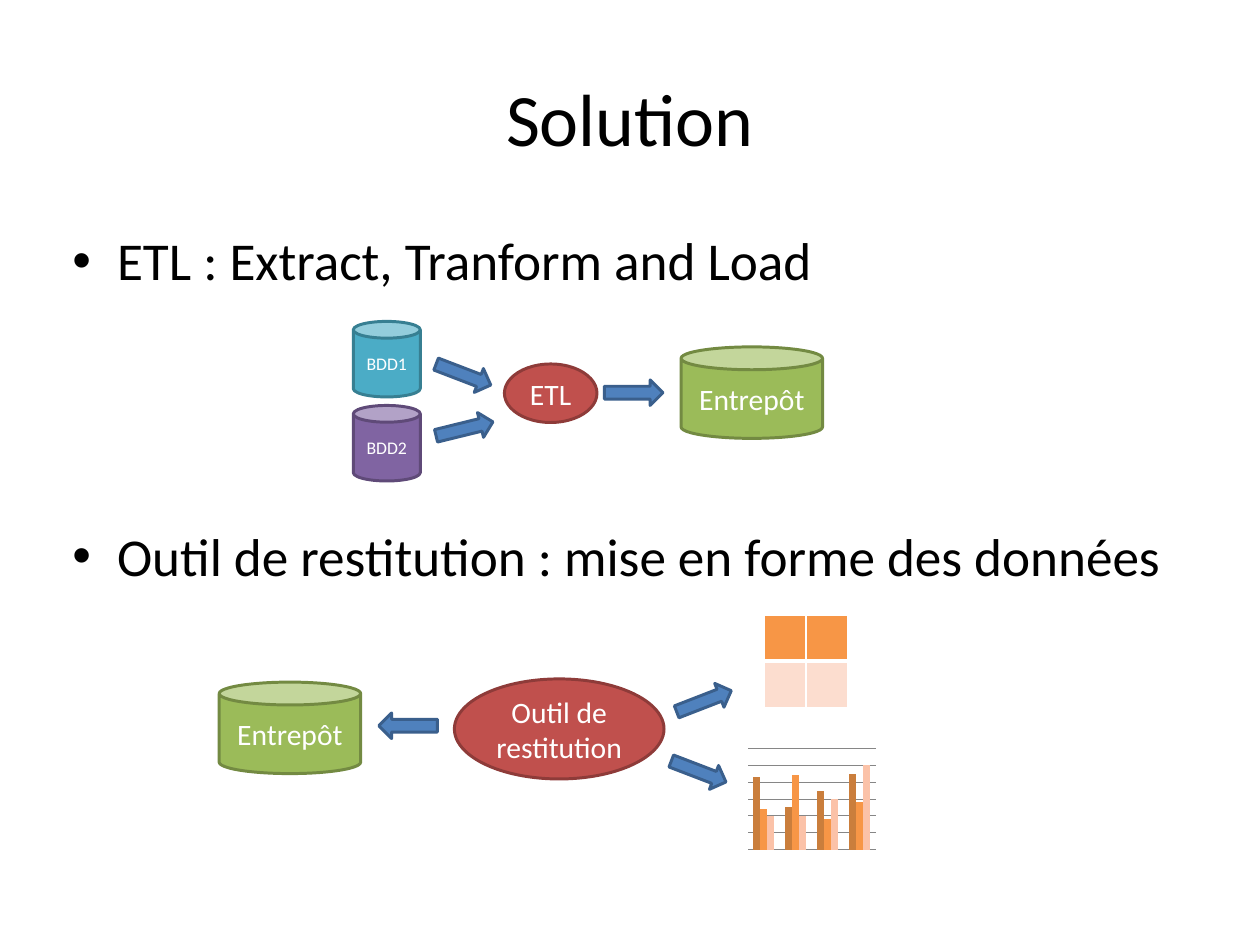
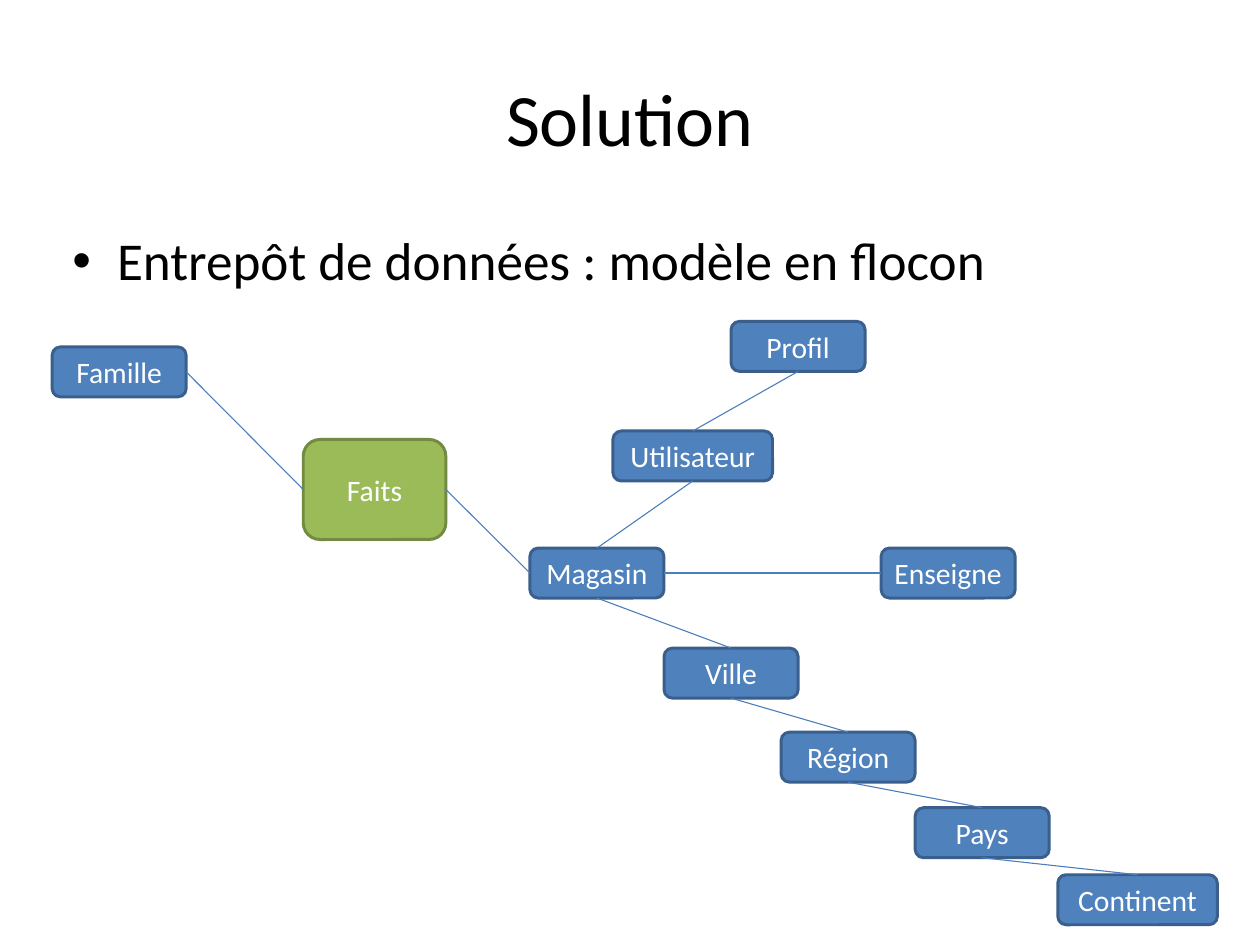
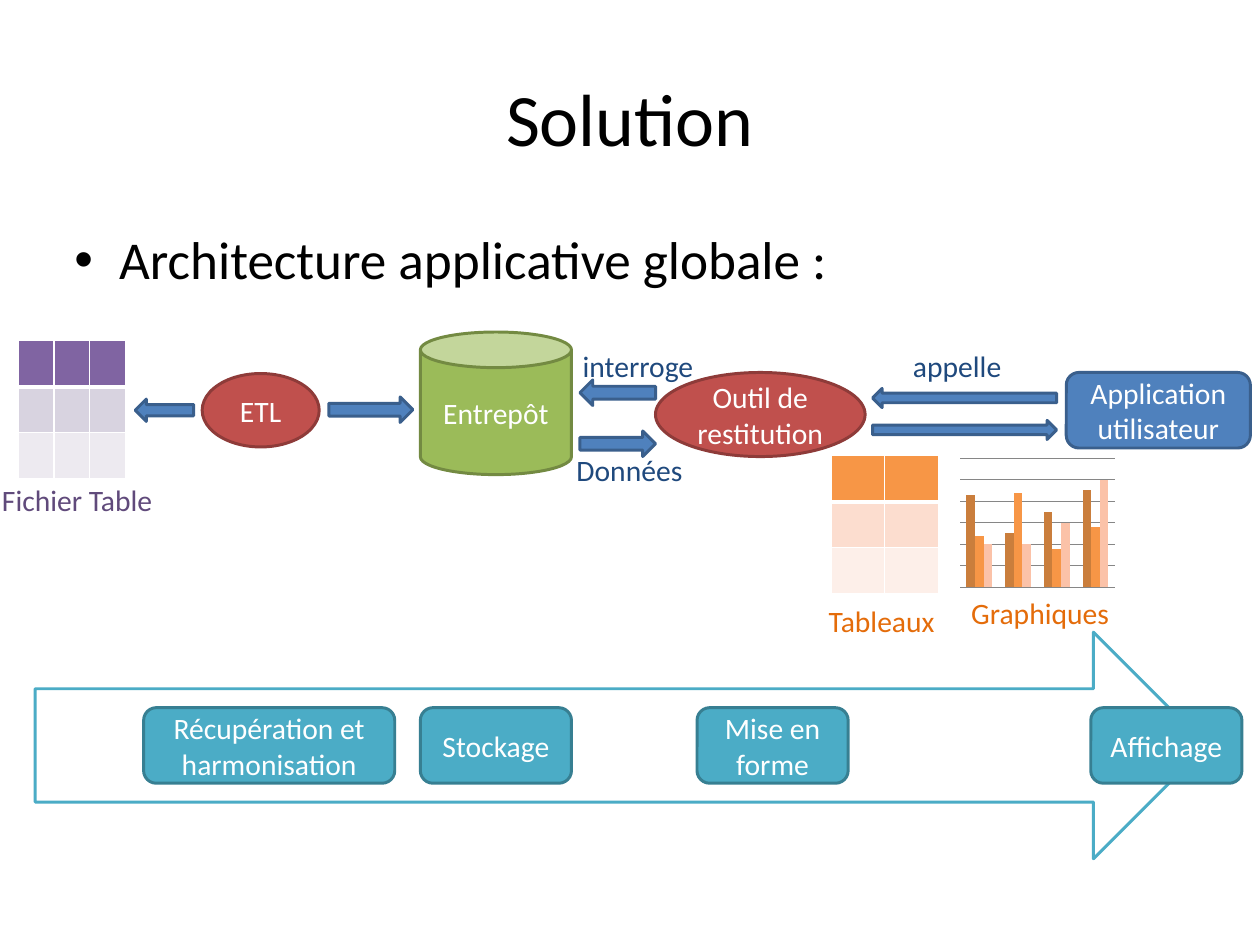
from dataclasses import dataclass
from typing import Optional

from lxml.etree import SubElement
from pptx import Presentation
from pptx.chart.data import CategoryChartData
from pptx.dml.color import RGBColor
from pptx.enum.chart import XL_CHART_TYPE
from pptx.enum.shapes import MSO_CONNECTOR, MSO_SHAPE
from pptx.enum.text import MSO_ANCHOR, PP_ALIGN
from pptx.oxml import parse_xml
from pptx.oxml.ns import nsdecls, qn
from pptx.util import Inches, Pt

# Shared colours and font
FONT = "Calibri"
BLACK = RGBColor(0x00, 0x00, 0x00)
WHITE = RGBColor(0xFF, 0xFF, 0xFF)
NAVY = RGBColor(0x1F, 0x49, 0x7D)
DARK_PURPLE = RGBColor(0x60, 0x4A, 0x7B)
DARK_ORANGE = RGBColor(0xE4, 0x6C, 0x0A)
LINK = RGBColor(0x4B, 0x7E, 0xBC)
GRID = RGBColor(0x86, 0x86, 0x86)
ORANGES = [RGBColor(0xF7, 0x96, 0x46), RGBColor(0xFC, 0xDD, 0xCF), RGBColor(0xFD, 0xEF, 0xE9)]
PURPLES = [RGBColor(0x80, 0x64, 0xA2), RGBColor(0xD8, 0xD3, 0xE0), RGBColor(0xED, 0xEA, 0xF0)]
BAR_COLORS = [RGBColor(0xCA, 0x7E, 0x3C), ORANGES[0], RGBColor(0xFB, 0xC2, 0xA8)]
SERIES = {
    "Series 1": (86, 50, 70, 90),
    "Series 2": (48, 88, 36, 56),
    "Series 3": (40, 40, 60, 100),
}

Box = tuple[float, float, float, float]


@dataclass(frozen=True)
class Style:
    fill: RGBColor
    line: RGBColor


BLUE = Style(RGBColor(0x4F, 0x81, 0xBD), RGBColor(0x3A, 0x5F, 0x8C))
RED = Style(RGBColor(0xC0, 0x50, 0x4D), RGBColor(0x8E, 0x3B, 0x39))
GREEN = Style(RGBColor(0x9B, 0xBB, 0x59), RGBColor(0x73, 0x8A, 0x42))
PURPLE = Style(PURPLES[0], RGBColor(0x5F, 0x4A, 0x78))
TEAL = Style(RGBColor(0x4B, 0xAC, 0xC6), RGBColor(0x37, 0x7F, 0x92))
OUTLINE = Style(WHITE, TEAL.fill)

CAN, OVAL, ROUND = MSO_SHAPE.CAN, MSO_SHAPE.OVAL, MSO_SHAPE.ROUNDED_RECTANGLE
RIGHT, LEFT = MSO_SHAPE.RIGHT_ARROW, MSO_SHAPE.LEFT_ARROW


@dataclass(frozen=True)
class Node:
    kind: MSO_SHAPE
    box: Box
    style: Style = BLUE
    text: str = ""
    size: int = 20
    rot: float = 0


@dataclass(frozen=True)
class Label:
    text: str
    box: Box
    color: RGBColor


@dataclass(frozen=True)
class Link:
    start: str
    start_site: int
    end: str
    end_site: int


# Connection sites of a rounded rectangle
TOP_SITE, LEFT_SITE, BOTTOM_SITE, RIGHT_SITE = range(4)


def inches(box: Box) -> list:
    return [Inches(v) for v in box]


def set_text(p, text: str, size: float, color: RGBColor) -> None:
    r = p.add_run()
    r.text = text
    for name, value in {"name": FONT, "size": Pt(size)}.items():
        setattr(r.font, name, value)
    r.font.color.rgb = color


def add_text_frame(s, box: Box, inset_x: float, inset_y: float):
    tf = s.shapes.add_textbox(*inches(box)).text_frame
    fmt = {
        "word_wrap": True,
        "margin_left": Inches(inset_x), "margin_right": Inches(inset_x),
        "margin_top": Inches(inset_y), "margin_bottom": Inches(inset_y),
    }
    for name, value in fmt.items():
        setattr(tf, name, value)
    return tf


def add_slide(prs, bullets: list[str], left: float = 0.57, top: float = 2.08):
    """Slide with the common title and its bullets."""
    s = prs.slides.add_slide(prs.slide_layouts[6])
    tf = add_text_frame(s, (0.59, 0.36, 10.66, 1.48), 0.11, 0.06)
    tf.vertical_anchor = MSO_ANCHOR.MIDDLE
    tf.paragraphs[0].alignment = PP_ALIGN.CENTER
    set_text(tf.paragraphs[0], "Solution", 50, BLACK)

    tf = add_text_frame(s, (left, top, 10.66, 5.86), 0.11, 0.06)
    for i, text in enumerate(bullets):
        p = tf.add_paragraph() if i else tf.paragraphs[0]
        p.space_before = Pt(157 if i else 0)
        pPr = p._p.get_or_add_pPr()
        pPr.set("marL", str(Inches(0.42)))
        pPr.set("indent", str(-Inches(0.42)))
        SubElement(pPr, qn("a:buFont")).set("typeface", "Arial")
        SubElement(pPr, qn("a:buChar")).set("char", "•")
        set_text(p, text, 36, BLACK)
    return s


def add_node(s, node: Node):
    sp = s.shapes.add_shape(node.kind, *inches(node.box))
    sp.shadow.inherit = False
    sp.rotation = node.rot
    sp.fill.solid()
    sp.fill.fore_color.rgb = node.style.fill
    sp.line.color.rgb = node.style.line
    sp.line.width = Pt(2)
    if node.text:
        p = sp.text_frame.paragraphs[0]
        p.alignment = PP_ALIGN.CENTER
        set_text(p, node.text, node.size, WHITE)
    return sp


def add_label(s, label: Label) -> None:
    p = add_text_frame(s, label.box, 0, 0.05).paragraphs[0]
    p.alignment = PP_ALIGN.CENTER
    set_text(p, label.text, 20, label.color)


def add_link(s, nodes: dict, link: Link) -> None:
    cn = s.shapes.add_connector(MSO_CONNECTOR.STRAIGHT, 0, 0, 0, 0)
    cn.begin_connect(nodes[link.start], link.start_site)
    cn.end_connect(nodes[link.end], link.end_site)
    cn.line.color.rgb = LINK
    cn.line.width = Pt(0.75)
    SubElement(cn._element.spPr, qn("a:effectLst"))


def add_grid(s, box: Box, cols: int, row_colors: list[RGBColor]) -> None:
    """Empty table with one colour per row and white rules."""
    rows = len(row_colors)
    table = s.shapes.add_table(rows, cols, *inches(box)).table
    for col in table.columns:
        col.width = Inches(box[2] / cols)
    for i, color in enumerate(row_colors):
        table.rows[i].height = Inches(box[3] / rows)
        for cell in table.rows[i].cells:
            tcPr = cell._tc.get_or_add_tcPr()
            for side in "LRTB":
                thick = (i == 0 and side == "B") or (i == 1 and side == "T")
                tcPr.append(parse_xml(
                    f'<a:ln{side} {nsdecls("a")} w="{Pt(3 if thick else 1)}">'
                    f'<a:solidFill><a:srgbClr val="{WHITE}"/></a:solidFill></a:ln{side}>'))
            cell.fill.solid()
            cell.fill.fore_color.rgb = color


def add_bars(s, box: Box, plot: Box) -> None:
    """Clustered columns without axes; plot is the inner area as fractions."""
    data = CategoryChartData()
    data.categories = ["1", "2", "3", "4"]
    for name, values in SERIES.items():
        data.add_series(name, values)
    chart = s.shapes.add_chart(XL_CHART_TYPE.COLUMN_CLUSTERED, *inches(box), data).chart
    chart.has_legend = chart.has_title = False
    chart.font.name, chart.font.size = FONT, Pt(18)
    chart.font.color.rgb = BLACK
    bars = chart.plots[0]
    for name, value in {"gap_width": 150, "overlap": 0, "vary_by_categories": False}.items():
        setattr(bars, name, value)
    for series, color in zip(bars.series, BAR_COLORS):
        series.format.fill.solid()
        series.format.fill.fore_color.rgb = color
    axis = chart.value_axis
    scale = {"minimum_scale": 0, "maximum_scale": 120, "major_unit": 20,
             "has_major_gridlines": True, "visible": False}
    for name, value in scale.items():
        setattr(axis, name, value)
    axis.major_gridlines.format.line.color.rgb = GRID
    axis.major_gridlines.format.line.width = Pt(0.75)
    chart.category_axis.visible = False

    # Fixed inner plot area
    area = chart._chartSpace.find(".//" + qn("c:plotArea"))
    for old in area.findall(qn("c:layout")):
        area.remove(old)
    sizes = "".join(f'<c:{k} val="{v}"/>' for k, v in zip("xywh", plot))
    area.insert(0, parse_xml(
        f'<c:layout {nsdecls("c")}><c:manualLayout><c:layoutTarget val="inner"/>'
        f'<c:xMode val="edge"/><c:yMode val="edge"/>{sizes}</c:manualLayout></c:layout>'))


def arrow(left: float, top: float, width: float = 0.55, height: float = 0.24,
          kind: MSO_SHAPE = RIGHT, rot: float = 0, style: Optional[Style] = None) -> Node:
    return Node(kind, (left, top, width, height), style or BLUE, rot=rot)


def build_tools(prs) -> None:
    s = add_slide(prs, ["ETL : Extract, Tranform and Load",
                        "Outil de restitution : mise en forme des données"])
    nodes = [
        # Loading the warehouse
        Node(CAN, (3.32, 3.02, 0.63, 0.71), TEAL, "BDD1", 12),
        Node(CAN, (3.32, 3.81, 0.63, 0.71), PURPLE, "BDD2", 12),
        arrow(4.08, 3.4, rot=21),
        arrow(4.09, 3.91, rot=346.2),
        Node(OVAL, (4.74, 3.42, 0.87, 0.55), RED, "ETL"),
        arrow(5.68, 3.57),
        Node(CAN, (6.4, 3.26, 1.33, 0.86), GREEN, "Entrepôt"),
        # Reporting from the warehouse
        Node(CAN, (2.06, 6.41, 1.33, 0.86), GREEN, "Entrepôt"),
        arrow(3.56, 6.7, kind=LEFT),
        Node(OVAL, (4.27, 6.38, 1.97, 0.94), RED, "Outil de restitution"),
        arrow(6.34, 6.47, rot=338.8),
        arrow(6.29, 7.13, rot=21),
    ]
    for node in nodes:
        add_node(s, node)
    add_grid(s, (7.18, 5.78, 0.79, 0.87), 2, ORANGES[:2])
    add_bars(s, (6.79, 6.88, 1.51, 1.26), (0.156, 0.121, 0.798, 0.757))


def build_snowflake(prs) -> None:
    s = add_slide(prs, ["Entrepôt de données : modèle en flocon"])
    nodes = {"Faits": add_node(s, Node(ROUND, (2.85, 4.13, 1.34, 0.94), GREEN, "Faits"))}
    dimensions = [
        ("Famille", 0.49, 3.26, 1.26), ("Magasin", 4.98, 5.15, 1.26),
        ("Enseigne", 8.28, 5.15, 1.26), ("Utilisateur", 5.76, 4.05, 1.5),
        ("Profil", 6.87, 3.02, 1.26), ("Ville", 6.24, 6.09, 1.26),
        ("Région", 7.34, 6.88, 1.26), ("Pays", 8.6, 7.59, 1.26),
        ("Continent", 9.94, 8.22, 1.5),
    ]
    for name, left, top, width in dimensions:
        nodes[name] = add_node(s, Node(ROUND, (left, top, width, 0.47), BLUE, name))

    # Sideways links, then the downward chains
    links = [Link(a, RIGHT_SITE, b, LEFT_SITE) for a, b in
             [("Famille", "Faits"), ("Faits", "Magasin"), ("Magasin", "Enseigne")]]
    for chain in (["Profil", "Utilisateur", "Magasin"],
                  ["Magasin", "Ville", "Région", "Pays", "Continent"]):
        links += [Link(a, BOTTOM_SITE, b, TOP_SITE) for a, b in zip(chain, chain[1:])]
    for link in links:
        add_link(s, nodes, link)


def build_architecture(prs) -> None:
    s = add_slide(prs, ["Architecture applicative globale :"], 0.59, 2.07)
    add_grid(s, (0.17, 3.2, 1.01, 1.3), 3, PURPLES)
    add_grid(s, (7.81, 4.28, 1.01, 1.3), 2, ORANGES)
    add_bars(s, (8.99, 4.28, 1.51, 1.26), (0.02, 0.02, 0.965, 0.965))
    nodes = [
        # Components
        Node(OVAL, (1.9, 3.51, 1.1, 0.69), RED, "ETL"),
        Node(CAN, (3.95, 3.12, 1.42, 1.34), GREEN, "Entrepôt"),
        Node(OVAL, (6.16, 3.5, 1.97, 0.79), RED, "Outil de restitution"),
        Node(ROUND, (10.02, 3.5, 1.73, 0.71), BLUE, "Application utilisateur"),
        # Exchanges
        arrow(1.27, 3.75, height=0.21, kind=LEFT),
        arrow(3.09, 3.73, 0.79),
        arrow(5.45, 3.57, 0.71, kind=LEFT),
        arrow(5.45, 4.05, 0.71),
        arrow(8.2, 3.65, 1.73, 0.18, LEFT),
        arrow(8.2, 3.95, 1.73, 0.18),
        # Process band
        arrow(0.33, 5.94, 11.01, 2.13, style=OUTLINE),
    ]
    steps = [("Récupération et harmonisation", 1.35, 2.36), ("Stockage", 3.95, 1.42),
             ("Mise en forme", 6.55, 1.42), ("Affichage", 10.25, 1.42)]
    nodes += [Node(ROUND, (left, 6.65, width, 0.71), TEAL, text) for text, left, width in steps]
    for node in nodes:
        add_node(s, node)

    labels = [
        Label("Fichier Table", (0, 4.48, 1.45, 0.44), DARK_PURPLE),
        Label("Tableaux", (7.42, 5.62, 1.73, 0.44), DARK_ORANGE),
        Label("Graphiques", (8.91, 5.54, 1.73, 0.44), DARK_ORANGE),
        Label("Données", (5.05, 4.2, 1.73, 0.44), NAVY),
        Label("interroge", (5.13, 3.22, 1.73, 0.44), NAVY),
        Label("appelle", (8.13, 3.22, 1.73, 0.44), NAVY),
    ]
    for label in labels:
        add_label(s, label)


def main() -> None:
    prs = Presentation()
    prs.slide_width, prs.slide_height = Inches(11.84), Inches(8.88)
    for build in (build_tools, build_snowflake, build_architecture):
        build(prs)
    prs.save("out.pptx")


if __name__ == "__main__":
    main()
